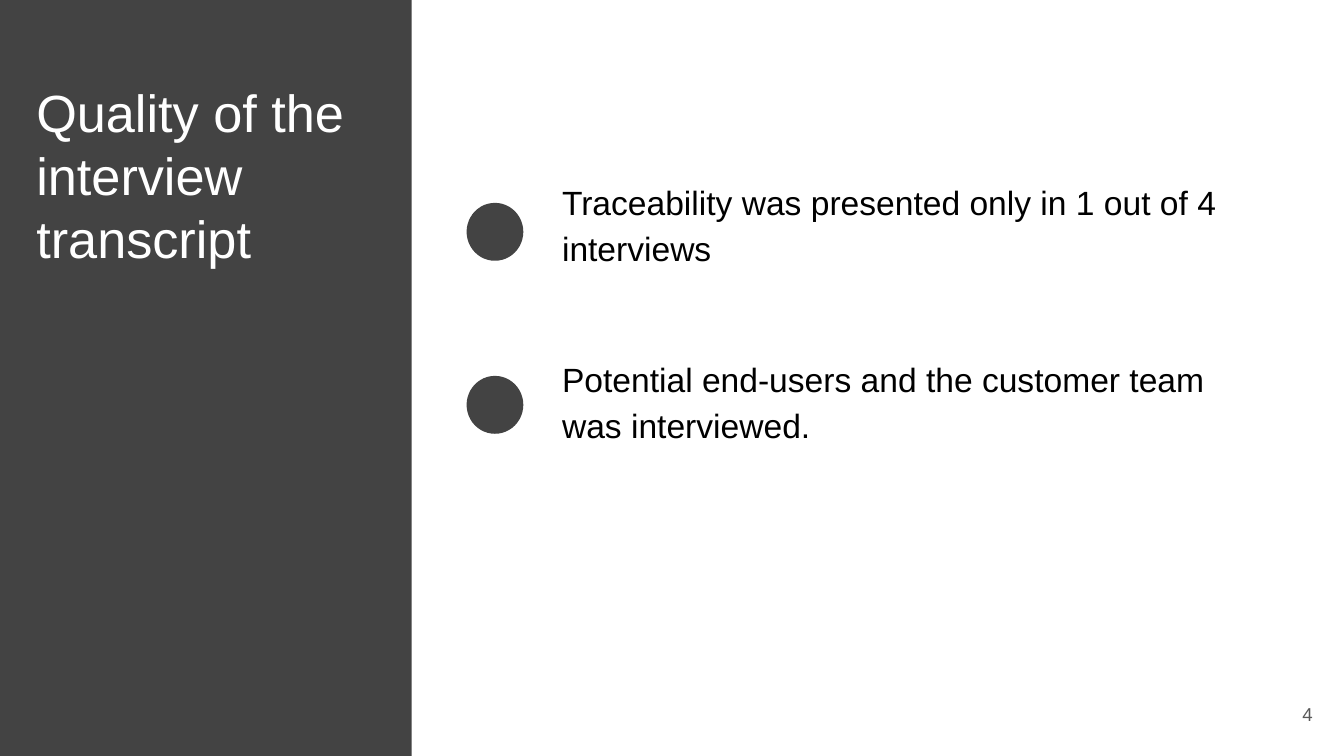
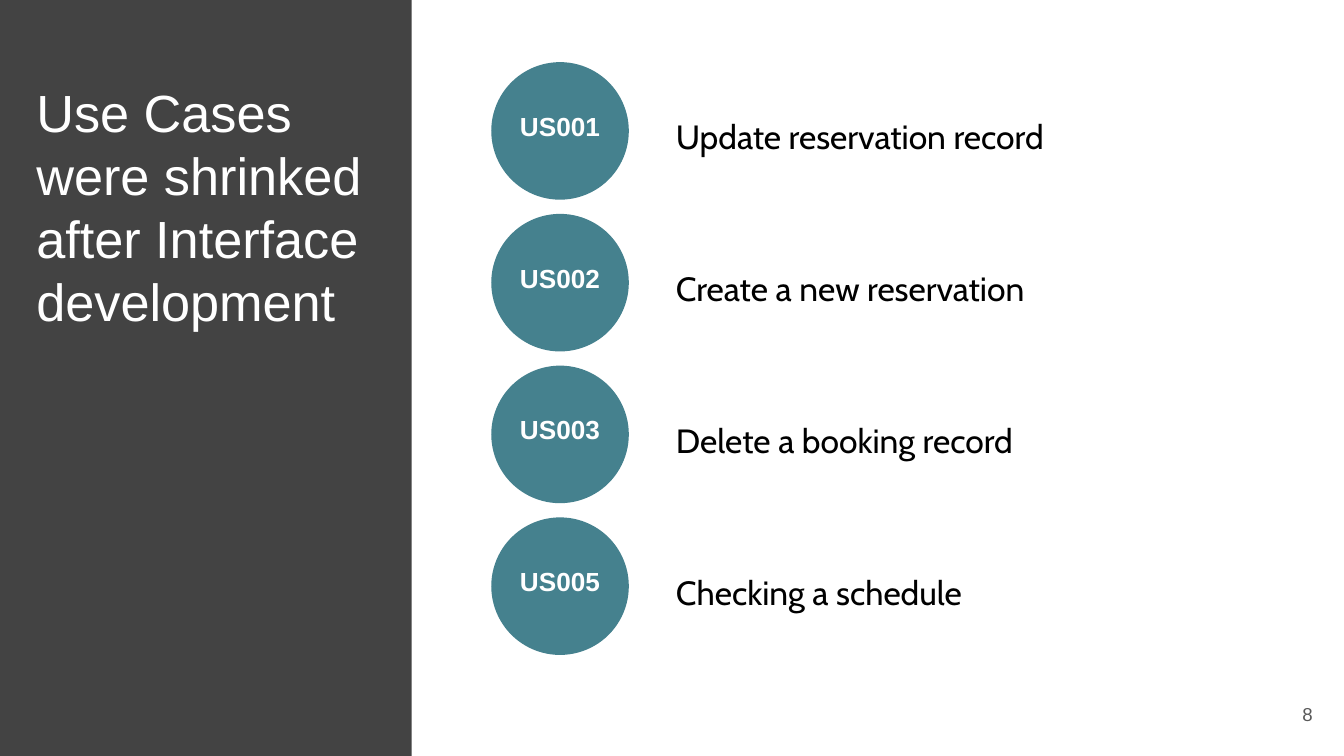
import pptx
import pptx.util
import pptx.dml.color
import pptx.enum.shapes
import pptx.enum.text

Pt = pptx.util.Pt
ALIGN = pptx.enum.text.PP_ALIGN
ANCHOR = pptx.enum.text.MSO_ANCHOR
SHAPE = pptx.enum.shapes.MSO_SHAPE

COLORS = {
    "panel": "434343",
    "badge": "45818E",
    "white": "FFFFFF",
    "body": "000000",
    "number": "595959",
}
SLIDE_WIDTH, SLIDE_HEIGHT = 720, 405
TEXT_INSET = 7.2


def add_text(slide, text, left, top, width, height, *, size, color, font="Arial",
             bold=False, align=ALIGN.LEFT, anchor=ANCHOR.TOP, line_spacing=1.0, space_before=0):
    box = slide.shapes.add_textbox(Pt(left), Pt(top), Pt(width), Pt(height))
    frame = box.text_frame
    frame.word_wrap = True
    frame.vertical_anchor = anchor
    frame.margin_left = frame.margin_right = Pt(TEXT_INSET)
    frame.margin_top = frame.margin_bottom = Pt(TEXT_INSET)
    paragraph = frame.paragraphs[0]
    paragraph.alignment = align
    paragraph.line_spacing = line_spacing
    paragraph.space_before = Pt(space_before)
    run = paragraph.add_run()
    run.text = text
    run.font.name = font
    run.font.size = Pt(size)
    run.font.bold = bold
    run.font.color.rgb = pptx.dml.color.RGBColor.from_string(COLORS[color])


def add_filled_shape(slide, kind, left, top, width, height, color):
    shape = slide.shapes.add_shape(kind, Pt(left), Pt(top), Pt(width), Pt(height))
    shape.shadow.inherit = False
    shape.fill.solid()
    shape.fill.fore_color.rgb = pptx.dml.color.RGBColor.from_string(COLORS[color])
    shape.line.fill.background()


presentation = pptx.Presentation()
presentation.slide_width = Pt(SLIDE_WIDTH)
presentation.slide_height = Pt(SLIDE_HEIGHT)

# Side panel, title and page number shared by every slide
slides = []
for title, number in [
    ("Quality of the interview transcript", "4"),
    ("Use Cases were shrinked after Interface development", "8"),
]:
    slide = presentation.slides.add_slide(presentation.slide_layouts[6])
    add_filled_shape(slide, SHAPE.RECTANGLE, 0, 0, 220.5, SLIDE_HEIGHT, "panel")
    add_text(slide, title, 12.4, 36, 203, 103, size=28, color="white")
    add_text(slide, number, 667.1, 367.2, 43.2, 31, size=10, color="number",
             align=ALIGN.RIGHT, anchor=ANCHOR.MIDDLE)
    slides.append(slide)
quality_slide, use_case_slide = slides

# Findings with round markers
findings = [
    ("Traceability was presented only in 1 out of 4 interviews", 87.1, 108.7),
    ("Potential end-users and the customer team was interviewed.", 181.7, 201.4),
]
for finding, text_top, marker_top in findings:
    add_text(quality_slide, finding, 294, text_top, 370, 45.4, size=18, color="body",
             line_spacing=1.15, space_before=12)
    add_filled_shape(quality_slide, SHAPE.OVAL, 250, marker_top, 30.4, 31, "panel")

# Use cases: equal rows of badge, code and description
BADGE_LEFT, BADGE_TOP, BADGE_SIZE = 263.2, 33.3, 73.7
ROW_PITCH = 81.3
TEXT_OFFSET = 18.6
use_cases = [
    ("US001", "Update reservation record"),
    ("US002", "Create a new reservation"),
    ("US003", "Delete a booking record"),
    ("US005", "Checking a schedule"),
]
for row, (code, description) in enumerate(use_cases):
    badge_top = BADGE_TOP + row * ROW_PITCH
    text_top = badge_top + TEXT_OFFSET
    add_filled_shape(use_case_slide, SHAPE.OVAL, BADGE_LEFT, badge_top,
                     BADGE_SIZE, BADGE_SIZE, "badge")
    add_text(use_case_slide, code, BADGE_LEFT, text_top, BADGE_SIZE, 21.6, size=14,
             color="white", bold=True, align=ALIGN.CENTER)
    add_text(use_case_slide, description, 355, text_top, 362, 45.4, size=18,
             color="body", font="Cabin", line_spacing=1.15)

presentation.save("out.pptx")
